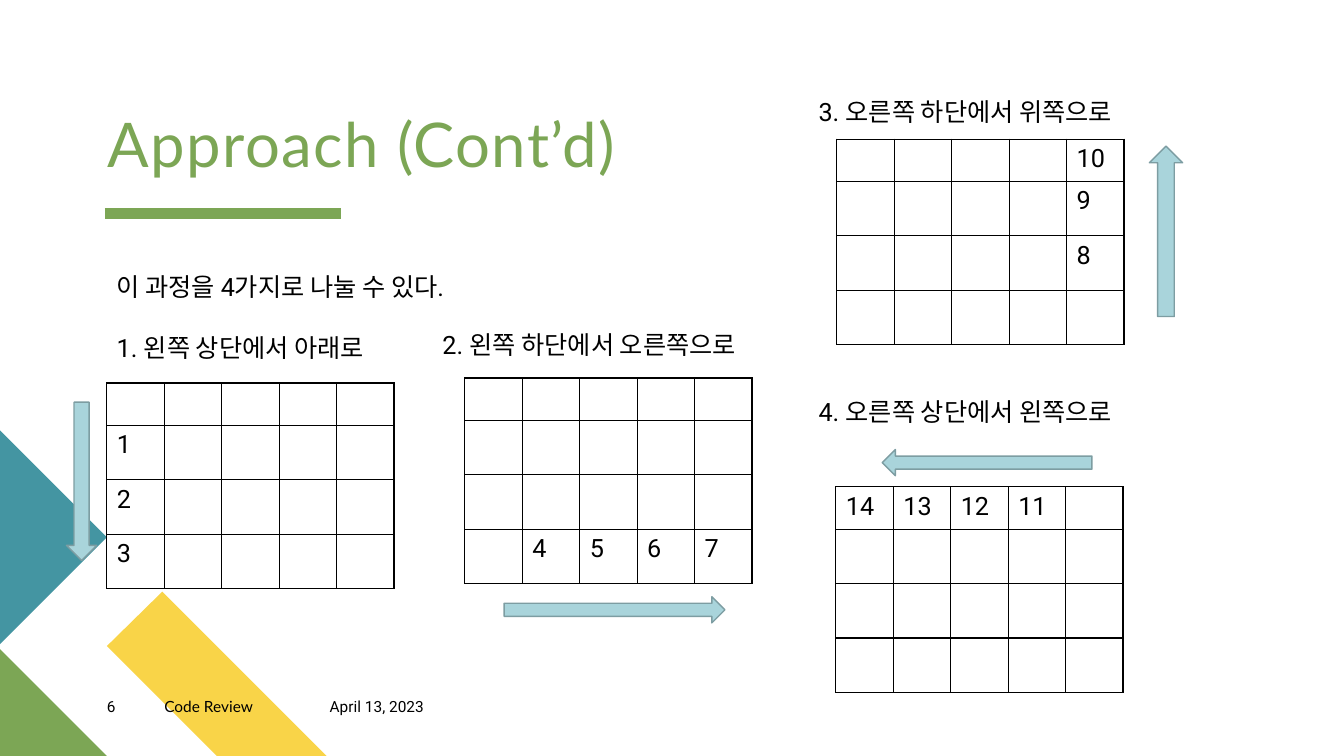
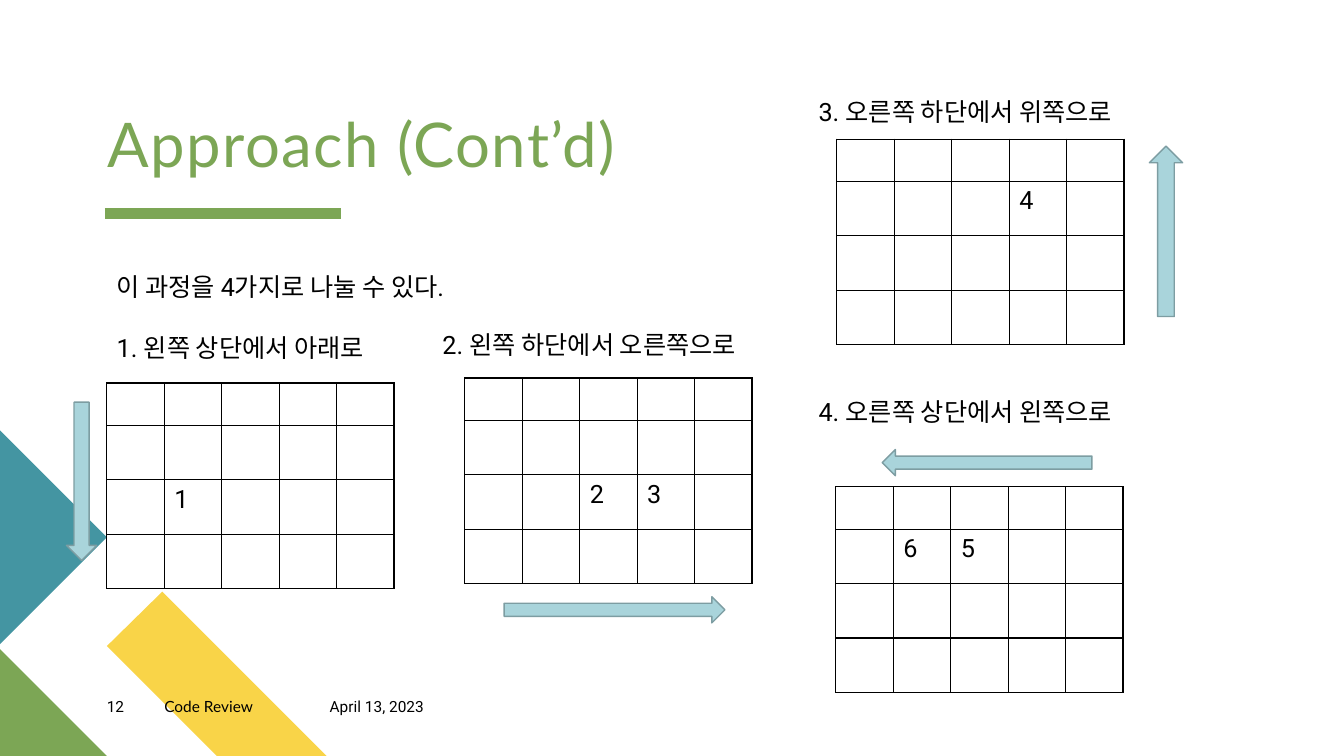
from itertools import count

from lxml import etree
from pptx import Presentation
from pptx import util as u
from pptx.dml.color import RGBColor
from pptx.enum import shapes, text
from pptx.oxml import ns

PX = 9144  # EMU per px, 100 px to the inch
COLORS = {
    "green": "7CA655",
    "yellow": "F9D448",
    "teal": "4495A2",
    "arrow": "A9D4DB",
    "arrow_line": "7D9DA2",
    "black": "000000",
}
TITLE_FORMAT = {"name": "Lato", "size": u.Pt(44), "bold": False}
BODY_FORMAT = {"name": "Roboto", "size": u.Pt(18)}
FOOTER_FORMAT = {"name": "Roboto", "size": u.Pt(11)}
NO_MARGINS = {f"margin_{side}": 0 for side in ("left", "top", "right", "bottom")}

TITLE = "Approach (Cont’d)"
TITLE_BOX = (107, 112, 540, 67)
COLUMN_WIDTHS = [57] * 5
ROW_HEIGHTS = [42, 54, 54, 54]

# Corner pieces: colour and outline
CORNERS = [
    ("yellow", [(324, 750), (215, 750), (106, 641), (161, 587)]),
    ("green", [(106, 750), (0, 750), (0, 644)]),
    ("teal", [(0, 427), (106, 533), (0, 639)]),
]

# Directions: label lines, label box, grid corner, arrow, arrow box, (row, column) step
ARROWS = shapes.MSO_SHAPE
DIRECTIONS = [
    (["이 과정을 4가지로 나눌 수 있다.", "1. 왼쪽 상단에서 아래로"], (106, 264, 376, 101),
     (106, 380), ARROWS.DOWN_ARROW, (66, 399, 30, 157), (1, 0)),
    (["2. 왼쪽 하단에서 오른쪽으로"], (429, 322, 338, 40),
     (461, 375), ARROWS.RIGHT_ARROW, (500, 592, 219, 26), (0, 1)),
    (["3. 오른쪽 하단에서 위쪽으로"], (802, 91, 338, 40),
     (830, 138), ARROWS.UP_ARROW, (1140, 145, 33, 169), (-1, 0)),
    (["4. 오른쪽 상단에서 왼쪽으로"], (802, 388, 338, 40),
     (829, 483), ARROWS.LEFT_ARROW, (875, 446, 208, 26), (0, -1)),
]

# Slides: page number, then the first cell and the length of each direction's walk
SLIDES = [
    ("6", [((1, 0), 3), ((3, 1), 4), ((2, 4), 3), ((0, 3), 4)]),
    ("12", [((2, 1), 1), ((2, 2), 2), ((1, 3), 1), ((1, 2), 2)]),
]


def px(*lengths):
    return [length * PX for length in lengths]


def rgb(name):
    return RGBColor.from_string(COLORS[name])


def set_all(target, values):
    for name, value in values.items():
        setattr(target, name, value)


def write(paragraph, content, values, color="black"):
    run = paragraph.add_run()
    run.text = content
    set_all(run.font, values)
    run.font.color.rgb = rgb(color)
    return run


def add_text(slide, box, lines, values, margins=None):
    frame = slide.shapes.add_textbox(*px(*box)).text_frame
    frame.word_wrap = True
    set_all(frame, margins or {})
    for index, line in enumerate(lines):
        paragraph = frame.add_paragraph() if index else frame.paragraphs[0]
        if index:
            paragraph.space_before = u.Pt(22)
        write(paragraph, line, values)


# Shared background, kept in the layout
def add_corner(slide, color, points):
    builder = slide.shapes.build_freeform(*points[0], scale=PX)
    builder.add_line_segments(points[1:], close=True)
    shape = builder.convert_to_shape()
    shape.shadow.inherit = False
    shape.fill.solid()
    shape.fill.fore_color.rgb = rgb(color)
    shape.line.fill.background()
    return shape


def add_title_rule(slide):
    rule = slide.shapes.add_connector(
        shapes.MSO_CONNECTOR.STRAIGHT, *px(104, 212, 338, 212))
    rule.line.color.rgb = rgb("green")
    rule.line.width = u.Pt(8)
    etree.SubElement(rule.element.spPr, ns.qn("a:effectLst"))
    return rule


def decorate_layout(layout, slide):
    title = layout.placeholders[0]
    set_all(title, dict(zip(("left", "top", "width", "height"), px(*TITLE_BOX))))
    set_all(title.text_frame, NO_MARGINS)
    parts = [add_corner(slide, color, points) for color, points in CORNERS]
    parts.append(add_title_rule(slide))
    for part in parts:
        layout.shapes.element.append(part.element)


# Slide elements
def fill_title(slide):
    frame = slide.shapes.title.text_frame
    set_all(frame, {"vertical_anchor": text.MSO_ANCHOR.BOTTOM, "word_wrap": True,
                    "auto_size": text.MSO_AUTO_SIZE.NONE})
    paragraph = frame.paragraphs[0]
    set_all(paragraph, {"alignment": text.PP_ALIGN.LEFT, "line_spacing": 0.9})
    run = write(paragraph, TITLE, TITLE_FORMAT, "green")
    run._r.get_or_add_rPr().set("spc", "100")


def add_footer(slide, number):
    items = [
        (106, 57, number, "Roboto"),
        (163, 164, "Code Review", "Lato"),
        (327, 144, "April 13, 2023", "Roboto"),
    ]
    for left, width, content, font in items:
        add_text(slide, (left, 692, width, 27), [content],
                 {**FOOTER_FORMAT, "name": font}, NO_MARGINS)


def set_borders(cell):
    properties = cell._tc.get_or_add_tcPr()
    for position, side in enumerate(("lnL", "lnR", "lnT", "lnB")):
        line = etree.Element(ns.qn(f"a:{side}"), w=str(u.Pt(1)))
        fill = etree.SubElement(line, ns.qn("a:solidFill"))
        etree.SubElement(fill, ns.qn("a:srgbClr"), val=COLORS["black"])
        properties.insert(position, line)


def add_grid(slide, corner, values):
    size = (sum(COLUMN_WIDTHS), sum(ROW_HEIGHTS))
    table = slide.shapes.add_table(
        len(ROW_HEIGHTS), len(COLUMN_WIDTHS), *px(*corner, *size)).table
    set_all(table, {"first_row": False, "horz_banding": False})
    for column, width in zip(table.columns, px(*COLUMN_WIDTHS)):
        column.width = width
    for row, height in zip(table.rows, px(*ROW_HEIGHTS)):
        row.height = height
    for cell in table.iter_cells():
        cell.fill.background()
        set_borders(cell)
    for (row, column), value in values.items():
        write(table.cell(row, column).text_frame.paragraphs[0], value, BODY_FORMAT)


def add_arrow(slide, kind, box):
    arrow = slide.shapes.add_shape(kind, *px(*box))
    arrow.shadow.inherit = False
    arrow.fill.solid()
    arrow.fill.fore_color.rgb = rgb("arrow")
    arrow.line.color.rgb = rgb("arrow_line")
    arrow.line.width = u.Pt(1)


def walk(start, step, length, numbers):
    """Number the cells met when walking from start."""
    return {
        (start[0] + step[0] * i, start[1] + step[1] * i): str(next(numbers))
        for i in range(length)
    }


def fill_slide(slide, number, walks):
    fill_title(slide)
    add_footer(slide, number)
    numbers = count(1)
    for direction, (start, length) in zip(DIRECTIONS, walks):
        lines, label_box, corner, arrow, arrow_box, step = direction
        add_text(slide, label_box, lines, BODY_FORMAT)
        add_grid(slide, corner, walk(start, step, length, numbers))
        add_arrow(slide, arrow, arrow_box)


def main():
    presentation = Presentation()
    presentation.slide_width, presentation.slide_height = px(1333, 750)
    layout = presentation.slide_layouts[5]
    slides = [presentation.slides.add_slide(layout) for _ in SLIDES]
    decorate_layout(layout, slides[0])
    for slide, (number, walks) in zip(slides, SLIDES):
        fill_slide(slide, number, walks)
    presentation.save("out.pptx")


if __name__ == "__main__":
    main()
